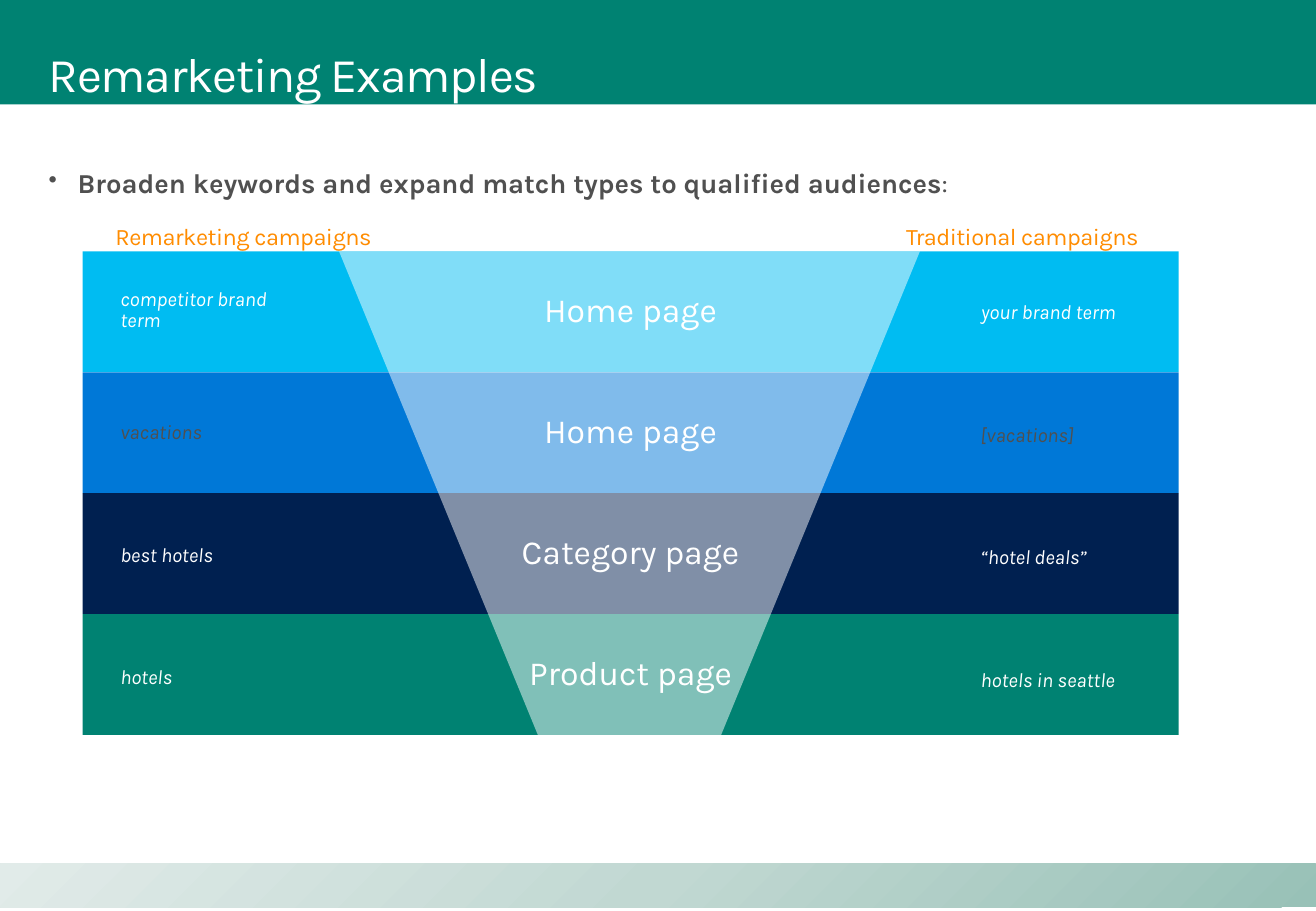
from lxml.etree import SubElement
from pptx import Presentation
from pptx.dml.color import RGBColor
from pptx.enum.shapes import MSO_SHAPE
from pptx.enum.text import MSO_ANCHOR, MSO_AUTO_SIZE, PP_ALIGN
from pptx.oxml import parse_xml
from pptx.oxml.ns import nsdecls, qn
from pptx.util import Inches, Pt

WIDE, HIGH = 10.83, 7.5
WHITE, GRAY, TEAL, ORANGE = "FFFFFF", "505050", "008272", "FF8C00"
INSET = (0.16, 0.1)
ROWS = [
    ("00BCF2", "competitor brand term", "Home page", "your brand term", WHITE),
    ("0078D7", "vacations", "Home page", "[vacations]", GRAY),
    ("002050", "best hotels", "Category page", "“hotel deals”", WHITE),
    (TEAL, "hotels", "Product page", "hotels in seattle", WHITE),
]


def color(code):
    return RGBColor.from_string(code)


def block(slide, box, fill, kind=MSO_SHAPE.RECTANGLE):
    shape = slide.shapes.add_shape(kind, *map(Inches, box))
    shape.shadow.inherit = False
    shape.line.fill.background()
    shape.fill.solid()
    shape.fill.fore_color.rgb = color(fill)
    return shape


def write(shape, text, size, ink, inset=(0.2, 0.16), align=PP_ALIGN.LEFT,
          anchor=MSO_ANCHOR.MIDDLE, space=0.9, track=0):
    """Put one paragraph in a shape; track is letter spacing in points."""
    frame = shape.text_frame
    frame.word_wrap = True
    frame.auto_size = MSO_AUTO_SIZE.NONE
    frame.vertical_anchor = anchor
    frame.margin_left = frame.margin_right = Inches(inset[0])
    frame.margin_top = frame.margin_bottom = Inches(inset[1])
    para = frame.paragraphs[0]
    para.alignment, para.line_spacing = align, space
    run = para.add_run()
    run.text = text
    if track:
        run._r.get_or_add_rPr().set("spc", str(round(track * 100)))
    font = para.font
    font.name, font.size, font.color.rgb = "Karla", Pt(size), color(ink)
    return para


def label(slide, box, *args, **style):
    return write(slide.shapes.add_textbox(*map(Inches, box)), *args, **style)


def frame(slide):
    """Draw the header band and the shaded footer."""
    foot = block(slide, (0, 7.11, WIDE, 0.36), TEAL)
    props = foot._element.spPr
    stops = "".join(
        f'<a:gs pos="{pos}000"><a:srgbClr val="{code}"/></a:gs>'
        for pos, code in ((0, "98C1B7"), (50, "C1D8D2"), (100, "E1EBE9")))
    props.replace(props.find(qn("a:solidFill")), parse_xml(
        f'<a:gradFill {nsdecls("a")}><a:gsLst>{stops}</a:gsLst>'
        '<a:lin ang="13500000" scaled="0"/></a:gradFill>'))
    block(slide, (0, 0, WIDE, 0.86), TEAL)


def head(slide, box):
    title = slide.shapes.title
    title.left, title.top, title.width, title.height = map(Inches, box)
    write(title, "Remarketing Examples", 28.7, WHITE, INSET,
          anchor=MSO_ANCHOR.TOP, track=-0.7)
    tree = slide.shapes._spTree
    tree.remove(title._element)
    tree.append(title._element)


def point(slide, box):
    para = label(slide, box,
                 "Broaden keywords and expand match types to qualified audiences",
                 16.2, GRAY, INSET, anchor=MSO_ANCHOR.TOP)
    para.runs[0].font.bold = True
    para.add_run().text = ":"
    props = para._p.get_or_add_pPr()
    props.set("marL", str(Inches(0.24)))
    props.set("indent", str(Inches(-0.24)))
    size = SubElement(props, qn("a:buSzPct"), val="90000")
    mark = SubElement(props, qn("a:buChar"), char="•")
    rest = props.find(qn("a:defRPr"))
    if rest is not None:
        rest.addprevious(size)
        rest.addprevious(mark)


def funnel(slide, box):
    left, top, width, height = box
    step = height / len(ROWS)
    for row, (fill, _, page, _, _) in enumerate(ROWS):
        band = block(slide, (left, top + row * step, width, step), fill)
        write(band, page, 20, WHITE, align=PP_ALIGN.CENTER)
    cone = block(slide, (left + 2.11, top, 4.78, height), WHITE,
                 MSO_SHAPE.TRAPEZOID)
    cone.rotation = 180
    cone.adjustments[0] = 0.411
    tint = cone._element.spPr.find(qn("a:solidFill"))[0]
    SubElement(tint, qn("a:alpha"), val="50000")
    for row, (_, wide, _, narrow, ink) in enumerate(ROWS):
        y = top + 0.18 + row * 1.01
        for text, x, span, drop in ((wide, 0.11, 1.89, 0),
                                    (narrow, 7.19, 1.72, 0.02)):
            para = label(slide, (left + x, y + drop, span, 0.61),
                         text, 12, ink)
            para.font.italic = True
    for text, x, align in (
            ("Remarketing campaigns", 0.27, PP_ALIGN.LEFT),
            ("Traditional campaigns", 4.02, PP_ALIGN.RIGHT)):
        label(slide, (left + x, top - 0.24, 4.67, 0.3), text, 14, ORANGE,
              (0, 0), align, MSO_ANCHOR.TOP, 1, -0.3)


def main():
    deck = Presentation()
    deck.slide_width, deck.slide_height = Inches(WIDE), Inches(HIGH)
    slide = deck.slides.add_slide(deck.slide_layouts[5])
    frame(slide)
    head(slide, (0.24, 0.32, 9.64, 0.8))
    point(slide, (0.24, 1.3, 9.64, 0.5))
    funnel(slide, (0.68, 2.07, 9.02, 3.98))
    deck.save("out.pptx")


if __name__ == "__main__":
    main()
